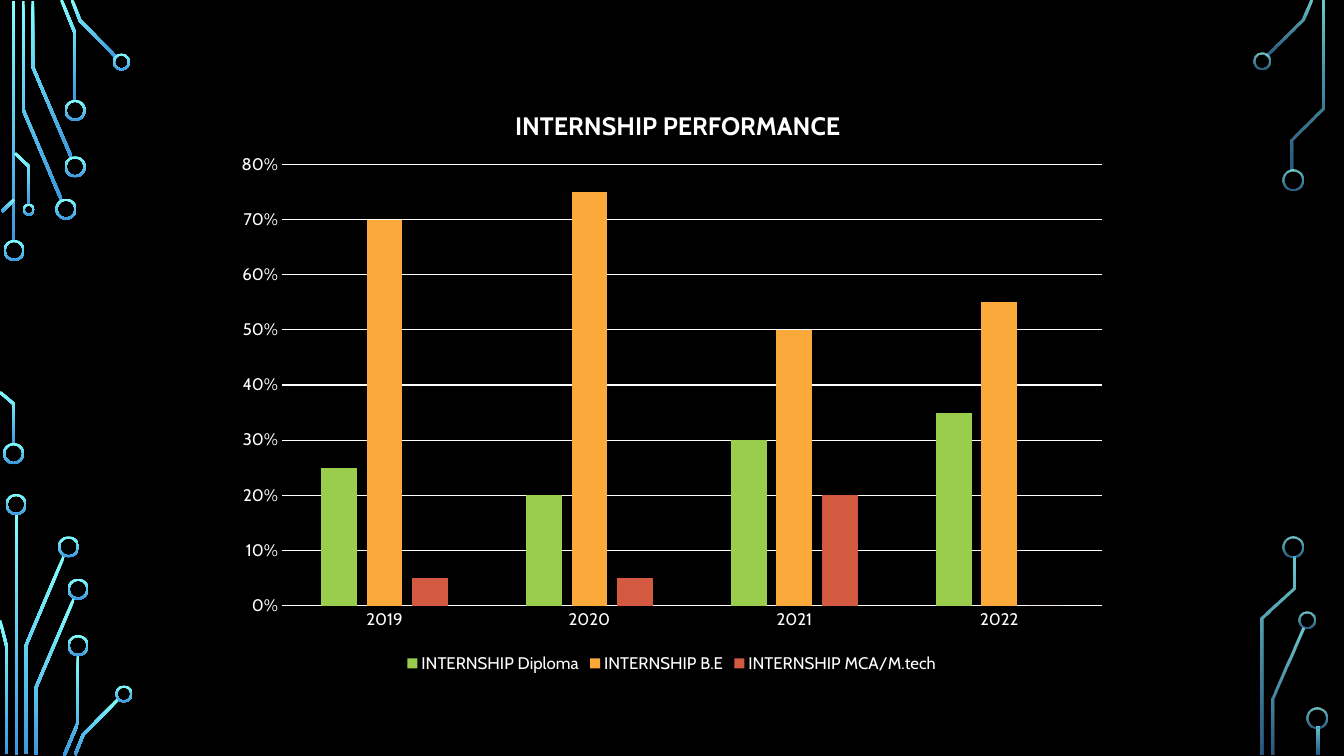
import math

from lxml import etree
from pptx import Presentation
from pptx import util as u
from pptx.chart.data import CategoryChartData
from pptx.dml.color import RGBColor
from pptx.enum import chart as ch
from pptx.enum import shapes
from pptx.oxml.ns import qn

FONT = "Cabin"
WHITE = "FFFFFF"
GRADIENT = ("82FFFF", "3D97DE")
SOLID, FADED = (100, 100), (80, 60)  # opacity of the gradient ends, in percent
TRACE_WIDTH = 0.028
RING_WIDTH = 0.02

# Circuit traces: centre lines, in inches
LEFT_TRACES = [
    [(0.135, 0.01), (0.135, 2.4)],
    [(0.23, 0.01), (0.23, 1.09), (0.61, 1.985)],
    [(0.325, 0.01), (0.325, 0.665), (0.71, 1.565)],
    [(0.61, 0), (0.745, 0.33), (0.745, 1)],
    [(0.715, 0), (0.795, 0.205), (1.155, 0.57)],
    [(0.02, 2.1), (0.14, 1.98)],
    [(0, 3.89), (0.14, 4.01), (0.14, 4.41)],
    [(0.15, 1.52), (0.29, 1.655), (0.29, 2.03)],
    [(0.165, 5.1), (0.165, 7.49)],
    [(0.255, 7.48), (0.255, 6.41), (0.635, 5.515)],
    [(0.065, 7.48), (0.065, 6.41), (0, 6.155)],
    [(0.355, 7.49), (0.355, 6.825), (0.735, 5.935)],
    [(0.635, 7.5), (0.775, 7.17), (0.775, 6.5)],
    [(0.745, 7.49), (0.825, 7.29), (1.18, 6.93)],
]
RIGHT_TRACES = [
    [(12.57, 0.555), (12.925, 0.195), (13.005, 0)],
    [(12.625, 7.49), (12.625, 6.935), (12.93, 6.235)],
    [(12.82, 1.69), (12.82, 1.385), (13.125, 1.075), (13.125, 0.01)],
    [(12.525, 7.49), (12.525, 6.135), (12.835, 5.835), (12.835, 5.52)],
    [(13.075, 7.21), (13.075, 7.49)],
]

# Rings at the trace ends: centre x, centre y, diameter, in inches
LEFT_RINGS = [
    (0.14, 2.485, 0.21), (0.135, 4.5, 0.21), (0.655, 2.075, 0.21),
    (0.745, 1.655, 0.21), (0.745, 1.095, 0.21), (1.205, 0.615, 0.17),
    (0.285, 2.08, 0.12), (0.16, 5.005, 0.21), (0.68, 5.425, 0.21),
    (0.775, 5.845, 0.21), (0.775, 6.405, 0.21), (1.23, 6.885, 0.17),
]
RIGHT_RINGS = [
    (12.52, 0.605, 0.17), (12.825, 1.785, 0.21), (12.965, 6.155, 0.17),
    (12.83, 5.425, 0.21), (13.065, 7.12, 0.21),
]

YEARS = ["2019", "2020", "2021", "2022"]
SERIES = [
    ("INTERNSHIP Diploma", (0.25, 0.2, 0.3, 0.35), "9ACD4C"),
    ("INTERNSHIP B.E", (0.7, 0.75, 0.5, 0.55), "FAA93A"),
    ("INTERNSHIP MCA/M.tech", (0.05, 0.05, 0.2, 0), "D35940"),
]


def cm(inches):
    return u.Cm(inches * 2.54)


def rgb(value):
    return RGBColor.from_string(value)


def format_font(font, size=12, bold=False, color=WHITE):
    font.name, font.size, font.bold = FONT, u.Pt(size), bold
    font.color.rgb = rgb(color)


def write_text(tf, text, **fmt):
    r = tf.paragraphs[0].add_run()
    r.text = text
    format_font(r.font, **fmt)


def paint(sp, opacity):
    """Vertical gradient, no line, no shadow."""
    sp.shadow.inherit = False
    sp.line.fill.background()
    sp.fill.gradient()
    sp.fill.gradient_angle = 270
    for stop, color in zip(sp.fill.gradient_stops, GRADIENT):
        stop.color.rgb = rgb(color)
    for clr, percent in zip(sp._element.spPr.iter(qn("a:srgbClr")), opacity):
        if percent < 100:
            etree.SubElement(clr, qn("a:alpha")).set("val", str(percent * 1000))


def ribbon(points, width):
    """Outline of a band of even width, mitred at the bends."""
    normals = []
    for (x1, y1), (x2, y2) in zip(points, points[1:]):
        length = math.hypot(x2 - x1, y2 - y1)
        normals.append(((y1 - y2) / length, (x2 - x1) / length))
    left, right = [], []
    for (x, y), a, b in zip(points, normals[:1] + normals, normals + normals[-1:]):
        k = width / 2 / (1 + a[0] * b[0] + a[1] * b[1])
        dx, dy = k * (a[0] + b[0]), k * (a[1] + b[1])
        left.append((x + dx, y + dy))
        right.append((x - dx, y - dy))
    return left + right[::-1]


def add_trace(slide, points, opacity):
    outline = [(cm(x), cm(y)) for x, y in ribbon(points, TRACE_WIDTH)]
    builder = slide.shapes.build_freeform(*outline[0])
    builder.add_line_segments(outline[1:], close=True)
    paint(builder.convert_to_shape(), opacity)


def add_ring(slide, x, y, size, opacity):
    sp = slide.shapes.add_shape(shapes.MSO_SHAPE.DONUT, cm(x - size / 2),
                                cm(y - size / 2), cm(size), cm(size))
    sp.adjustments[0] = RING_WIDTH / size
    paint(sp, opacity)


def place(element, index, **fractions):
    """Fix a chart part at fractions of the chart area."""
    for old in element.findall(qn("c:layout")):
        element.remove(old)
    layout = etree.Element(qn("c:layout"))
    manual = etree.SubElement(layout, qn("c:manualLayout"))
    if "w" in fractions:
        etree.SubElement(manual, qn("c:layoutTarget")).set("val", "inner")
    for name in ("x", "y"):
        etree.SubElement(manual, qn(f"c:{name}Mode")).set("val", "edge")
    for name, value in fractions.items():
        etree.SubElement(manual, qn(f"c:{name}")).set("val", str(value))
    element.insert(index, layout)


def format_axes(chart):
    for axis in (chart.category_axis, chart.value_axis):
        axis.major_tick_mark = axis.minor_tick_mark = ch.XL_TICK_MARK.NONE
        format_font(axis.tick_labels.font)
    values = chart.value_axis
    values.minimum_scale, values.maximum_scale, values.major_unit = 0, 0.8, 0.1
    values.tick_labels.number_format = "0%"
    values.tick_labels.number_format_is_linked = False
    values.format.line.fill.background()
    for line in (chart.category_axis.format.line, values.major_gridlines.format.line):
        line.color.rgb = rgb(WHITE)
        line.width = u.Pt(0.75)


def add_column_chart(slide):
    data = CategoryChartData(number_format="0%")
    data.categories = YEARS
    for name, values, _ in SERIES:
        data.add_series(name, values)
    chart = slide.shapes.add_chart(ch.XL_CHART_TYPE.COLUMN_CLUSTERED, cm(2.22),
                                   cm(0.79), cm(8.89), cm(5.93), data).chart
    format_font(chart.font, size=10)

    # Columns
    plot = chart.plots[0]
    plot.gap_width, plot.overlap, plot.vary_by_categories = 219, -27, False
    for series, (_, _, color) in zip(plot.series, SERIES):
        series.format.fill.solid()
        series.format.fill.fore_color.rgb = rgb(color)
    format_axes(chart)

    # Title and legend
    write_text(chart.chart_title.text_frame, "INTERNSHIP PERFORMANCE", size=18, bold=True)
    chart.chart_title.include_in_layout = False
    chart.has_legend = True
    chart.legend.position = ch.XL_LEGEND_POSITION.BOTTOM
    chart.legend.include_in_layout = False
    format_font(chart.legend.font)

    place(chart.chart_title._element, 1, x=0.32, y=0.04)
    place(plot._element.getparent(), 0, x=0.065, y=0.142, w=0.915, h=0.738)


def main():
    prs = Presentation()
    prs.slide_width, prs.slide_height = u.Cm(33.87), u.Cm(19.05)
    slide = prs.slides.add_slide(prs.slide_layouts[6])
    slide.background.fill.solid()
    slide.background.fill.fore_color.rgb = rgb("000000")

    # Circuit decoration on both sides
    for traces, rings, opacity in ((LEFT_TRACES, LEFT_RINGS, SOLID),
                                   (RIGHT_TRACES, RIGHT_RINGS, FADED)):
        for points in traces:
            add_trace(slide, points, opacity)
        for x, y, size in rings:
            add_ring(slide, x, y, size, opacity)

    add_column_chart(slide)
    prs.save("out.pptx")


if __name__ == "__main__":
    main()
